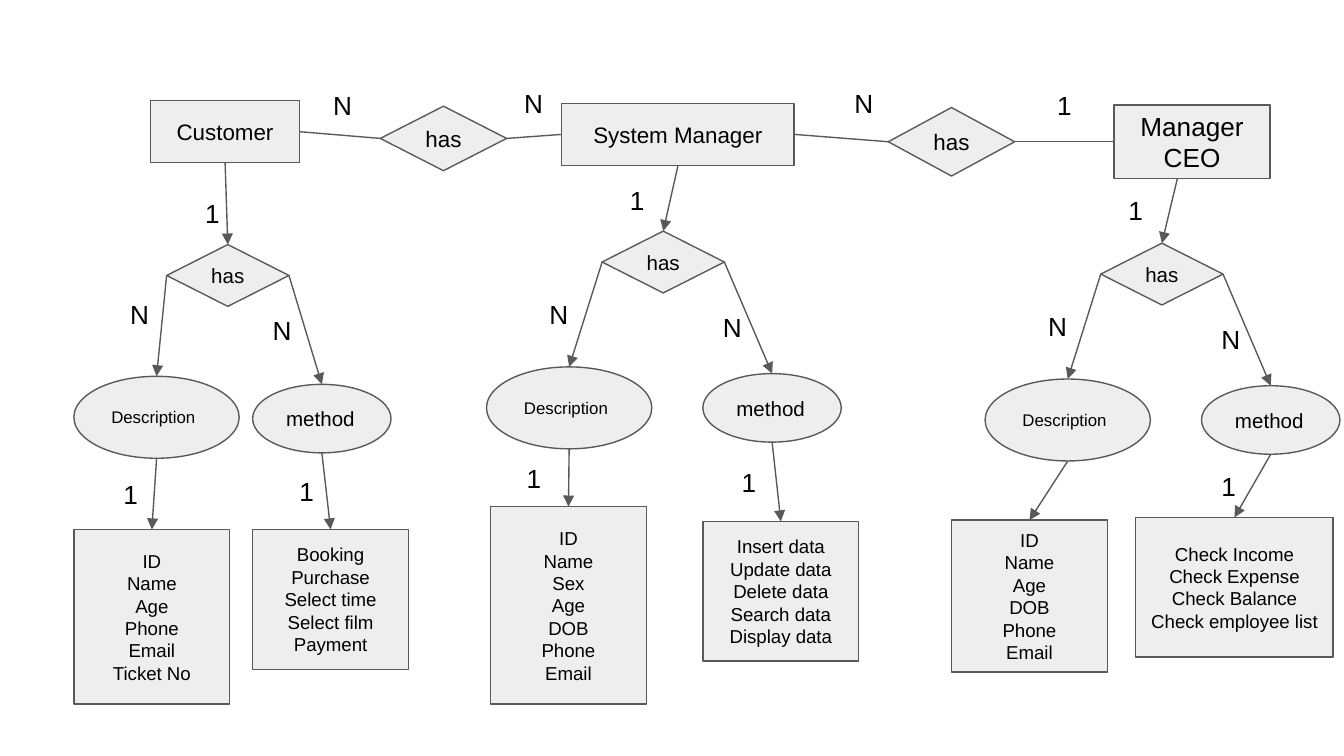
from lxml import etree
from pptx import Presentation
from pptx.dml.color import RGBColor
from pptx.enum.shapes import MSO_CONNECTOR, MSO_SHAPE as SHAPE
from pptx.enum.text import MSO_ANCHOR, PP_ALIGN as ALIGN
from pptx.oxml.ns import qn
from pptx.util import Inches, Pt

FILL = RGBColor(0xEE, 0xEE, 0xEE)
LINE = RGBColor(0x59, 0x59, 0x59)
INK = RGBColor(0, 0, 0)
TOP, LEFT, BOTTOM, RIGHT = range(4)


def write(holder, lines, size, align=ALIGN.CENTER):
    frame = holder.text_frame
    frame.word_wrap = True
    frame.vertical_anchor = MSO_ANCHOR.MIDDLE
    frame.margin_left = frame.margin_right = Inches(0.1)
    frame.margin_top = frame.margin_bottom = Inches(0.1)
    for i, line in enumerate(lines):
        para = frame.add_paragraph() if i else frame.paragraphs[0]
        para.alignment = align
        run = para.add_run()
        run.text = line
        run.font.name = "Arial"
        run.font.size = Pt(size)
        run.font.color.rgb = INK


def node(slide, kind, box, lines, size, align=ALIGN.CENTER):
    item = slide.shapes.add_shape(kind, *map(Inches, box))
    item.shadow.inherit = False
    item.fill.solid()
    item.fill.fore_color.rgb = FILL
    item.line.color.rgb = LINE
    item.line.width = Pt(0.75)
    write(item, lines, size, align)
    return item


def label(slide, left, top, text, width=0.3):
    box = slide.shapes.add_textbox(*map(Inches, (left, top, width, 0.41)))
    write(box, [text], 14)


def site(item, side):
    x = {LEFT: 0, RIGHT: item.width}.get(side, item.width // 2)
    y = {TOP: 0, BOTTOM: item.height}.get(side, item.height // 2)
    return item.left + x, item.top + y


def link(slide, start, start_side, end, end_side, arrow=True, shift=0):
    x, y = site(start, start_side)
    line = slide.shapes.add_connector(
        MSO_CONNECTOR.STRAIGHT, x + Inches(shift), y, *site(end, end_side))
    if start.auto_shape_type != SHAPE.OVAL and not shift:
        line.begin_connect(start, start_side)
    line.end_connect(end, end_side)
    line.line.color.rgb = LINE
    line.line.width = Pt(0.75)
    props = line._element.spPr
    if arrow:
        etree.SubElement(props.find(qn("a:ln")), qn("a:tailEnd"), type="triangle")
    etree.SubElement(props, qn("a:effectLst"))


def relation_row(slide, entities, relations, labels):
    for i, box in enumerate(relations):
        has = node(slide, SHAPE.DIAMOND, box, ["has"], 12)
        link(slide, entities[i], RIGHT, has, LEFT, arrow=False)
        link(slide, has, RIGHT, entities[i + 1], LEFT, arrow=False)
    for mark in labels:
        label(slide, *mark)


def detail(slide, has, side, oval_box, caption, size, many, one, listing_box, lines):
    x, y = oval_box[:2]
    oval = node(slide, SHAPE.OVAL, oval_box, [caption], size, ALIGN.LEFT)
    listing = node(slide, SHAPE.RECTANGLE, listing_box, lines, 10)
    link(slide, has, side, oval, TOP)
    link(slide, oval, BOTTOM, listing, TOP)
    label(slide, x + many[0], y + many[1], "N")
    if one:
        label(slide, x + one[0], y + one[1], "1")


def branch(slide, entity, x, y, shift, one, description, method):
    has = node(slide, SHAPE.DIAMOND, (x, y, 0.91, 0.46), ["has"], 11)
    link(slide, entity, BOTTOM, has, TOP, shift=shift)
    label(slide, x + one[0], y + one[1], "1", 0.4)
    parts = ((LEFT, description, (1.23, 0.61), "Description", 9),
             (RIGHT, method, (1.03, 0.51), "method", 11))
    for side, (offset, many, one_below, listing, lines), extent, caption, size in parts:
        dx, dy = offset
        lx, ly, width, height = listing
        detail(slide, has, side, (x + dx, y + dy, *extent), caption, size, many,
               one_below, (x + lx, y + ly, width, height), lines)


ENTITIES = [
    ((1.12, 0.75, 1.11, 0.46), "Customer", 12),
    ((4.18, 0.77, 1.73, 0.46), "System Manager", 12),
    ((8.29, 0.78, 1.16, 0.55), "Manager CEO", 14),
]
RELATIONS = [(2.83, 0.79, 0.94, 0.48), (6.61, 0.8, 0.94, 0.51)]
CARDINALITIES = [(2.38, 0.58, "N"), (3.77, 0.56, "N", 0.4),
                 (6.26, 0.56, "N"), (7.72, 0.58, "1", 0.4)]
BRANCHES = [
    (1.24, 1.82, 0, (0.14, -0.44),
     ((-0.69, 0.98), (0.32, -0.67), (0.27, 0.67), (-0.69, 2.12, 1.16, 1.3),
      ["ID", "Name", "Age", "Phone", "Email", "Ticket No"]),
     ((0.64, 1.04), (0.05, -0.61), (0.25, 0.59), (0.64, 2.12, 1.16, 1.04),
      ["Booking", "Purchase", "Select time", "Select film", "Payment"])),
    (4.48, 1.72, 0, (0.06, -0.44),
     ((-0.86, 1.01), (0.37, -0.6), (0.2, 0.62), (-0.83, 2.05, 1.16, 1.47),
      ["ID", "Name", "Sex", "Age", "DOB", "Phone", "Email"]),
     ((0.75, 1.06), (0.05, -0.55), (0.19, 0.6), (0.75, 2.16, 1.16, 1.04),
      ["Insert data", "Update data", "Delete data", "Search data", "Display data"])),
    (8.19, 1.81, -0.11, (0.06, -0.45),
     ((-0.86, 1.01), (0.37, -0.6), None, (-1.11, 2.06, 1.16, 1.13),
      ["ID", "Name", "Age", "DOB", "Phone", "Email"]),
     ((0.75, 1.06), (0.05, -0.55), (0.05, 0.54), (0.26, 2.04, 1.47, 1.04),
      ["Check Income", "Check Expense", "Check Balance", "Check employee list"])),
]

deck = Presentation()
deck.slide_width = Inches(10)
deck.slide_height = deck.slide_width * 9 // 16
diagram = deck.slides.add_slide(deck.slide_layouts[6])
people = [node(diagram, SHAPE.RECTANGLE, box, [name], size) for box, name, size in ENTITIES]
relation_row(diagram, people, RELATIONS, CARDINALITIES)
for person, layout in zip(people, BRANCHES):
    branch(diagram, person, *layout)
deck.save("out.pptx")
